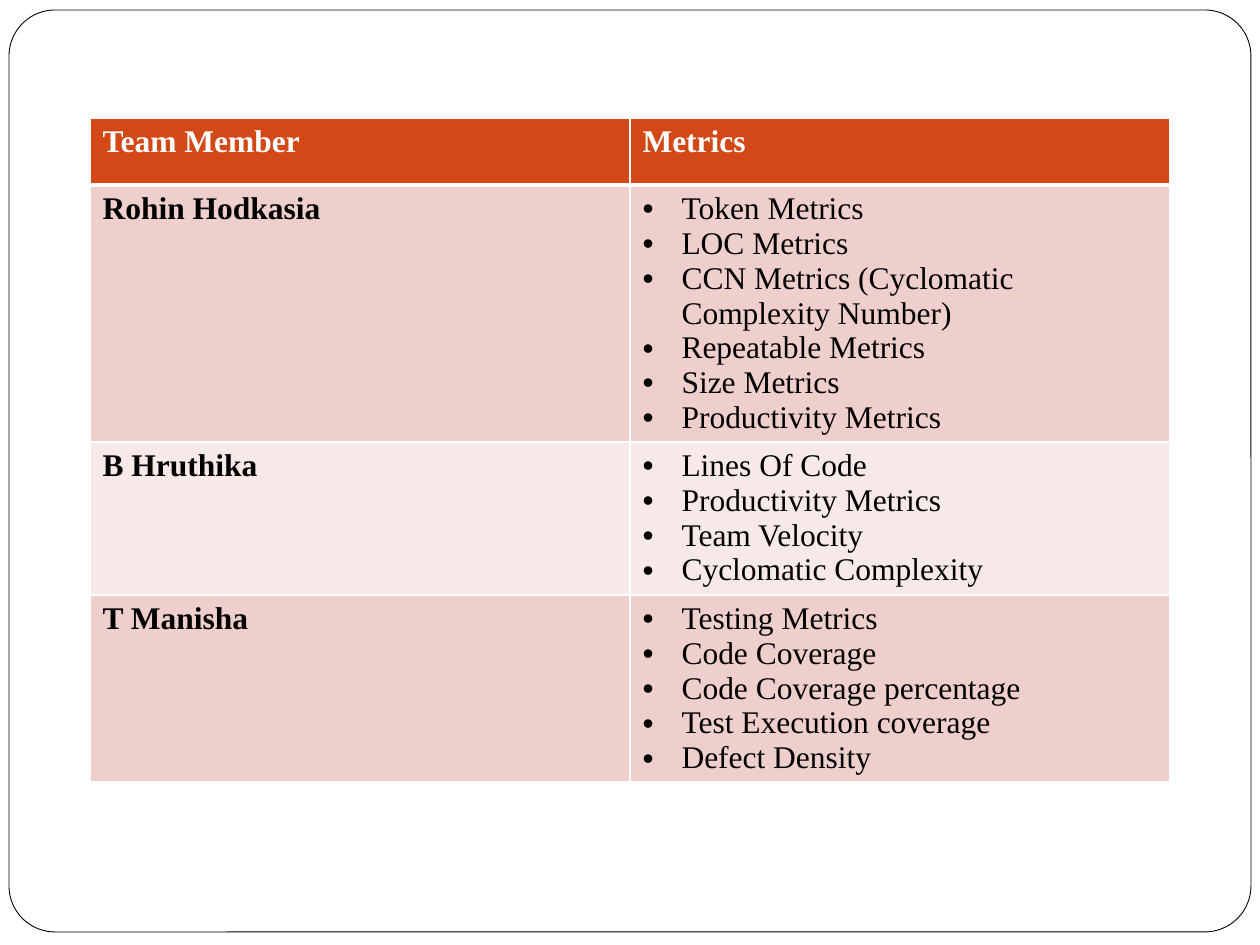
import pptx
import pptx.dml.color
import pptx.enum.shapes
import pptx.oxml.ns
import pptx.util
from lxml import etree

# Content
HEADINGS = ("Team Member", "Metrics")
MEMBERS = [
    ("Rohin Hodkasia", [
        "Token Metrics",
        "LOC Metrics",
        "CCN Metrics (Cyclomatic Complexity Number)",
        "Repeatable Metrics",
        "Size Metrics",
        "Productivity Metrics",
    ]),
    ("B Hruthika", [
        "Lines Of Code",
        "Productivity Metrics",
        "Team Velocity",
        "Cyclomatic Complexity",
    ]),
    ("T Manisha", [
        "Testing Metrics",
        "Code Coverage",
        "Code Coverage percentage",
        "Test Execution coverage",
        "Defect Density",
    ]),
]

# Format
COLORS = {
    "white": "FFFFFF",
    "black": "000000",
    "header": "D34817",
    "band_dark": "EFCFCC",
    "band_light": "F7E9E8",
}
FONT = {"name": "Times New Roman", "size": pptx.util.Pt(18)}
PX = 914400 // 126
SLIDE_SIZE = (1260, 945)
FRAME = (9, 10, 1242, 922)
TABLE_LEFT, TABLE_TOP = 90, 118
COLUMN_WIDTH = 540
ROW_HEIGHTS = (67, 257, 153, 186)
BULLET_INDENT = 39
RULE, HEADER_RULE = 1, 3


def px(value):
    return pptx.util.Emu(value * PX)


def color(name):
    return pptx.dml.color.RGBColor.from_string(COLORS[name])


def add_child(parent, tag, **attributes):
    child = etree.SubElement(parent, pptx.oxml.ns.qn(tag))
    for name, value in attributes.items():
        child.set(name, str(value))
    return child


def set_borders(cell, top, bottom):
    properties = cell._tc.get_or_add_tcPr()
    widths = {"a:lnL": RULE, "a:lnR": RULE, "a:lnT": top, "a:lnB": bottom}
    for tag, width in widths.items():
        line = add_child(properties, tag, w=pptx.util.Pt(width))
        add_child(add_child(line, "a:solidFill"), "a:srgbClr", val=COLORS["white"])


def write_cell(cell, lines, text_color, bold, bulleted):
    frame = cell.text_frame
    for index, text in enumerate(lines):
        paragraph = frame.add_paragraph() if index else frame.paragraphs[0]
        run = paragraph.add_run()
        run.text = text
        if bulleted:
            properties = paragraph._p.get_or_add_pPr()
            properties.set("marL", str(px(BULLET_INDENT)))
            properties.set("indent", str(-px(BULLET_INDENT)))
            add_child(properties, "a:buFont", typeface="Arial")
            add_child(properties, "a:buChar", char="•")
        for name, value in {**FONT, "bold": bold}.items():
            setattr(run.font, name, value)
        run.font.color.rgb = color(text_color)


def add_frame(slide):
    shape = slide.shapes.add_shape(
        pptx.enum.shapes.MSO_SHAPE.ROUNDED_RECTANGLE, *map(px, FRAME))
    shape.adjustments[0] = 0.05
    shape.shadow.inherit = False
    shape.fill.solid()
    shape.fill.fore_color.rgb = color("white")
    shape.line.color.rgb = color("black")
    shape.line.width = pptx.util.Pt(0.5)


def add_metrics_table(slide):
    rows = [[[heading] for heading in HEADINGS]]
    rows += [[[member], metrics] for member, metrics in MEMBERS]
    table = slide.shapes.add_table(
        len(rows), len(HEADINGS), px(TABLE_LEFT), px(TABLE_TOP),
        px(COLUMN_WIDTH * len(HEADINGS)), px(sum(ROW_HEIGHTS))).table
    for column in table.columns:
        column.width = px(COLUMN_WIDTH)

    for row_index, row in enumerate(rows):
        table.rows[row_index].height = px(ROW_HEIGHTS[row_index])
        is_header = row_index == 0
        band = "band_dark" if row_index % 2 else "band_light"
        for column_index, lines in enumerate(row):
            cell = table.cell(row_index, column_index)
            bulleted = not is_header and column_index == 1
            set_borders(cell,
                        top=HEADER_RULE if row_index == 1 else RULE,
                        bottom=HEADER_RULE if is_header else RULE)
            cell.fill.solid()
            cell.fill.fore_color.rgb = color("header" if is_header else band)
            write_cell(cell, lines, "white" if is_header else "black",
                       bold=not bulleted, bulleted=bulleted)


def main():
    presentation = pptx.Presentation()
    presentation.slide_width, presentation.slide_height = map(px, SLIDE_SIZE)
    slide = presentation.slides.add_slide(presentation.slide_layouts[6])
    add_frame(slide)
    add_metrics_table(slide)
    presentation.save("out.pptx")


if __name__ == "__main__":
    main()
